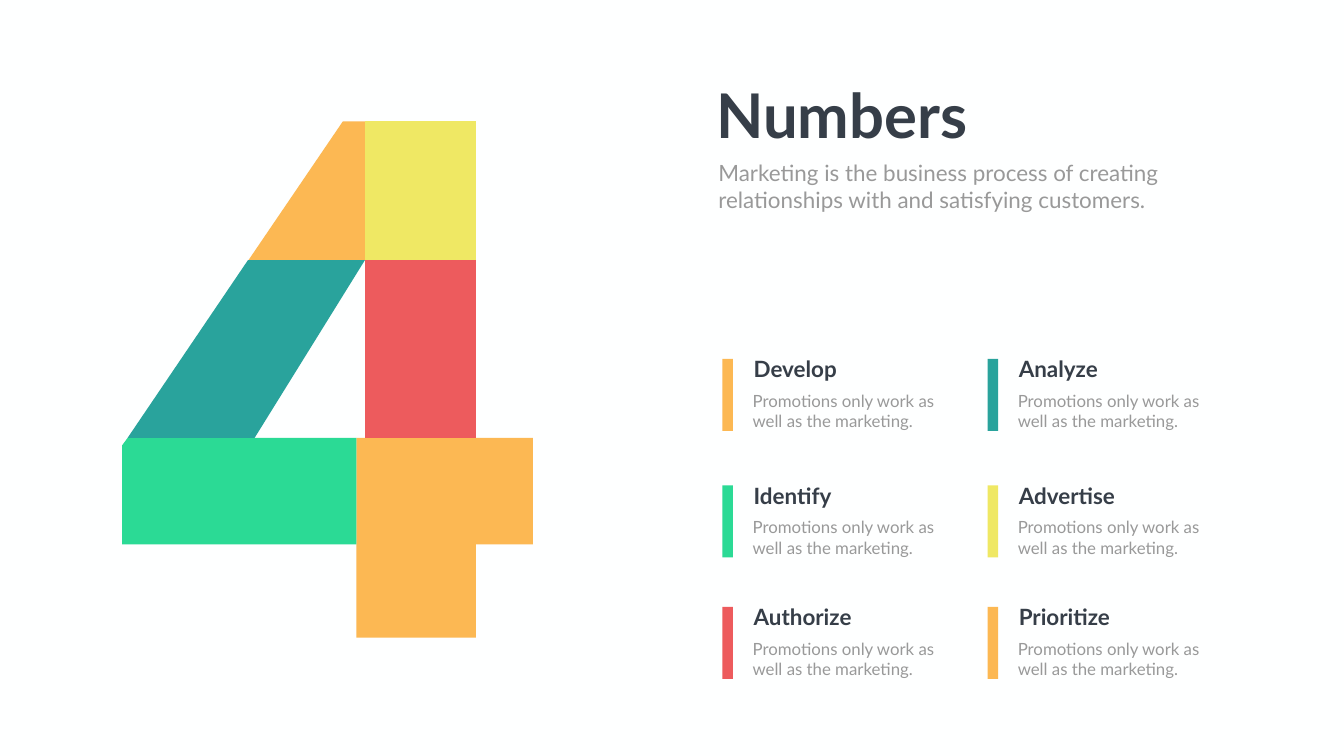
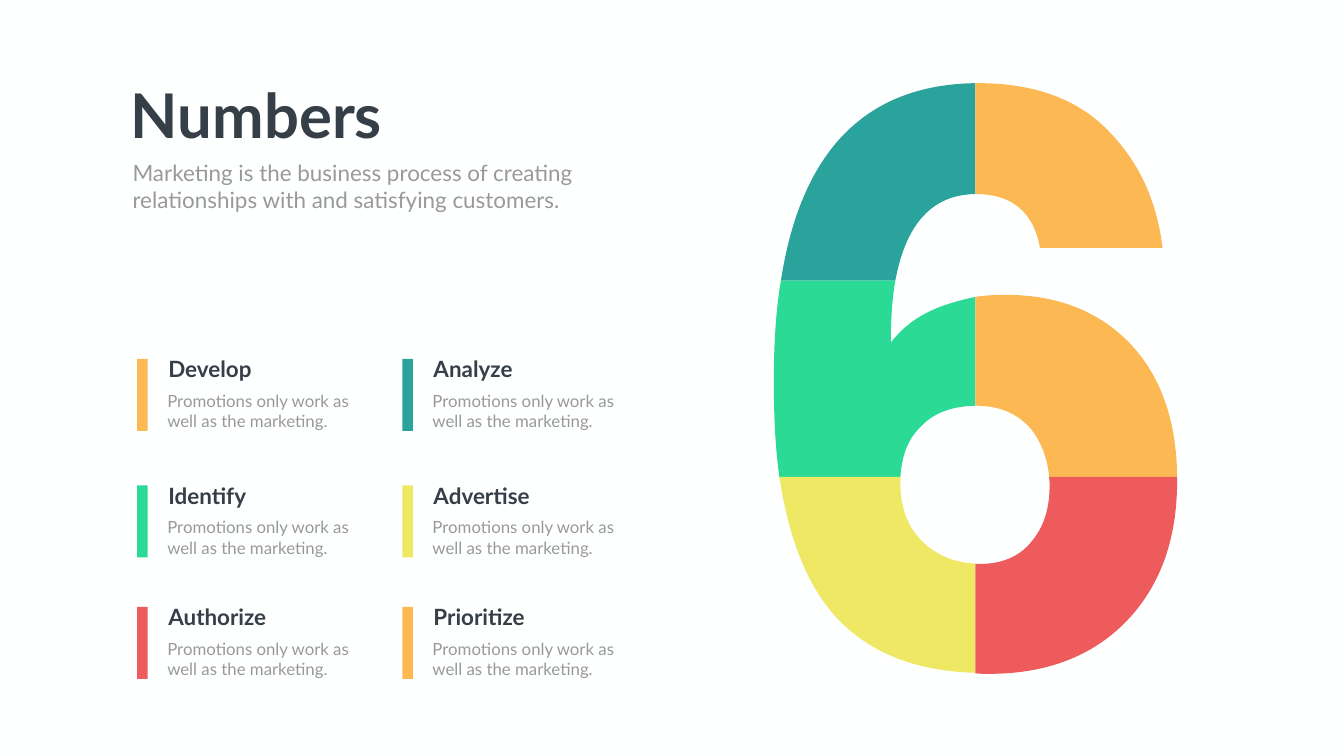
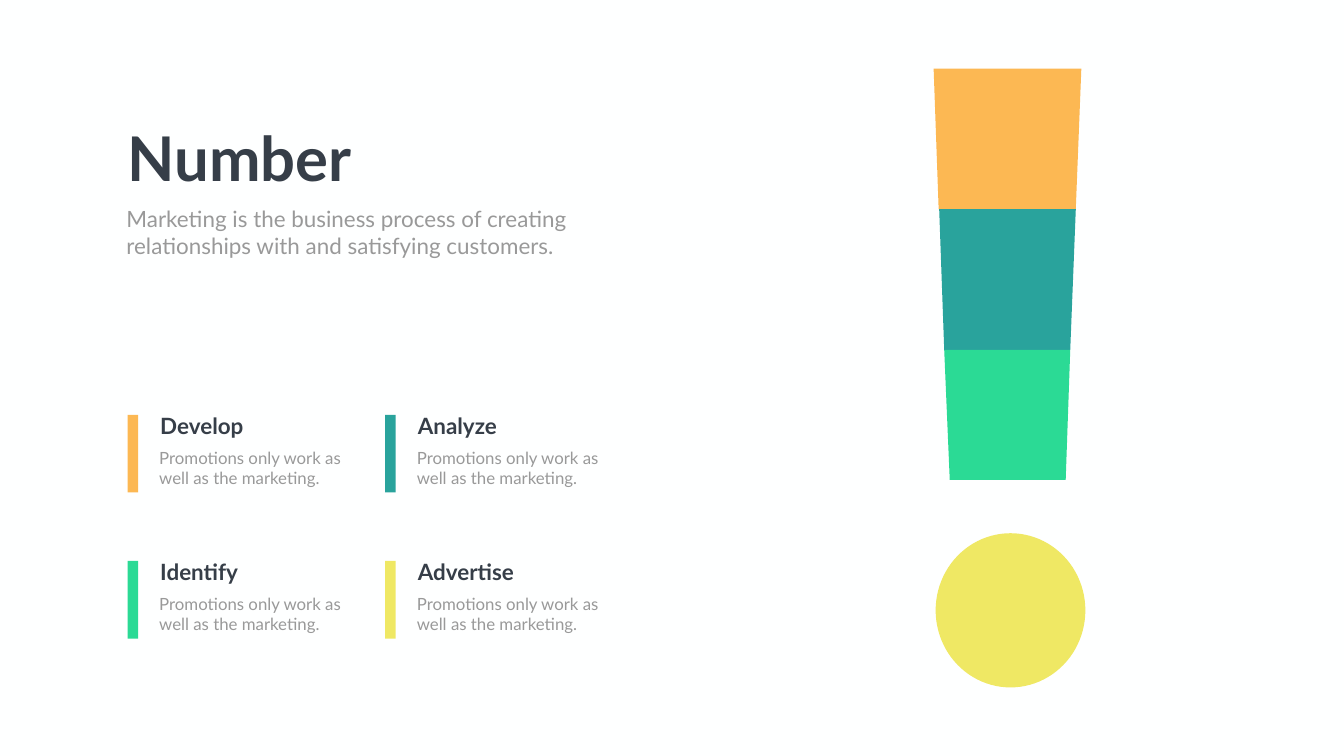
"""Build three number infographic slides: a four, a six and an exclamation mark."""
from dataclasses import dataclass

from lxml import etree
from pptx import Presentation
from pptx.dml.color import RGBColor
from pptx.enum.shapes import MSO_SHAPE
from pptx.enum.text import MSO_AUTO_SIZE
from pptx.oxml.ns import qn
from pptx.util import Inches, Pt

RECTANGLE, OVAL = MSO_SHAPE.RECTANGLE, MSO_SHAPE.OVAL
GROW = MSO_AUTO_SIZE.SHAPE_TO_FIT_TEXT
BLANK_LAYOUT = 6
SLIDE_SIZE = (26.66, 15)
UNITS_PER_INCH = 100


@dataclass(frozen=True)
class Theme:
    """Colours and text styles shared by the slides."""
    font = "Lato"
    background = "FEFFFF"
    orange, teal, green = "FCB853", "29A39C", "2BDA95"
    yellow, red = "EFE864", "ED5B5D"
    title = {"size": 88, "bold": True, "color": "363E48"}
    subtitle = {"size": 32, "bold": False, "color": "999999"}
    heading = {"size": 32, "bold": True, "color": "363E48"}
    body = {"size": 24, "bold": False, "color": "999999"}


SUBTITLE = ["Marketing is the business process of creating",
            "relationships with and satisfying customers."]
STEP_TEXT = "Promotions only work as well as the marketing."
STEPS = [("Develop", Theme.orange), ("Analyze", Theme.teal),
         ("Identify", Theme.green), ("Advertise", Theme.yellow),
         ("Authorize", Theme.red), ("Prioritize", Theme.orange)]

# Each outline is a list of points; six numbers make a Bezier curve.
FOUR = [
    (Theme.orange, [(7.24, 2.41), (6.8, 2.41), (4.93, 5.16), (7.24, 5.16)]),
    (Theme.orange, [(7.07, 8.69), (7.07, 12.65), (9.44, 12.65), (9.44, 10.8),
                    (10.57, 10.8), (10.57, 8.69)]),
    (Theme.green, [(7.07, 8.69), (2.53, 8.69), (2.42, 8.84), (2.42, 10.8),
                   (7.07, 10.8)]),
    (Theme.red, [(7.24, 8.69), (9.44, 8.69), (9.44, 5.16), (7.24, 5.16)]),
    (Theme.teal, [(5.05, 8.69), (7.24, 5.16), (4.92, 5.16), (2.53, 8.69)]),
    (Theme.yellow, [(9.44, 5.16), (9.44, 2.41), (7.24, 2.41), (7.24, 5.16)]),
]
SIX = [
    (Theme.teal, [(15.49, 5.57), (17.76, 5.57),
                  (17.97, 4.43, 18.5, 3.86, 19.35, 3.85), (19.35, 1.65),
                  (17.18, 1.68, 15.89, 2.98, 15.49, 5.57)]),
    (Theme.green, [(17.86, 9.46), (17.89, 9.04, 18.01, 8.71, 18.26, 8.47),
                   (18.52, 8.19, 18.88, 8.06, 19.35, 8.05), (19.35, 5.89),
                   (19.12, 5.94, 18.89, 6, 18.67, 6.08),
                   (18.24, 6.24, 17.91, 6.48, 17.67, 6.8),
                   (17.67, 6.33, 17.7, 5.92, 17.76, 5.57), (15.49, 5.57),
                   (15.39, 6.16, 15.35, 6.83, 15.35, 7.56),
                   (15.35, 8.27, 15.38, 8.89, 15.46, 9.46)]),
    (Theme.yellow, [(18.31, 10.76), (18.01, 10.47, 17.86, 10.08, 17.86, 9.59),
                    (17.86, 9.46), (15.46, 9.46),
                    (15.62, 10.53, 15.92, 11.36, 16.36, 11.97),
                    (17.01, 12.85, 18, 13.31, 19.35, 13.35), (19.35, 11.18),
                    (18.94, 11.17, 18.59, 11.02, 18.31, 10.76)]),
    (Theme.orange, [(19.35, 3.85), (20.07, 3.85, 20.5, 4.2, 20.63, 4.92),
                    (23.06, 4.92), (22.95, 3.98, 22.59, 3.21, 21.98, 2.59),
                    (21.38, 1.97, 20.52, 1.65, 19.4, 1.65), (19.35, 1.65)]),
    (Theme.orange, [(19.35, 8.05), (19.84, 8.05, 20.19, 8.21, 20.45, 8.51),
                    (20.66, 8.78, 20.78, 9.1, 20.81, 9.46), (23.35, 9.46),
                    (23.34, 8.33, 23.02, 7.45, 22.41, 6.81),
                    (21.79, 6.17, 20.97, 5.85, 19.95, 5.85),
                    (19.75, 5.85, 19.55, 5.86, 19.35, 5.89)]),
    (Theme.red, [(23.35, 9.46), (20.81, 9.46),
                 (20.82, 9.52, 20.82, 9.59, 20.82, 9.65),
                 (20.82, 10.1, 20.7, 10.47, 20.45, 10.76),
                 (20.21, 11.05, 19.87, 11.19, 19.42, 11.19), (19.35, 11.19),
                 (19.35, 13.36), (19.43, 13.37, 19.53, 13.37, 19.62, 13.37),
                 (20.76, 13.37, 21.67, 13.02, 22.34, 12.33),
                 (23.01, 11.64, 23.35, 10.71, 23.35, 9.54)]),
]
EXCLAMATION = [
    (Theme.orange, [(21.34, 4.15), (21.45, 1.36), (18.52, 1.36), (18.62, 4.15)]),
    (Theme.teal, [(18.73, 6.94), (21.23, 6.94), (21.34, 4.15), (18.63, 4.15)]),
    (Theme.green, [(18.84, 9.52), (21.14, 9.52), (21.23, 6.94), (18.73, 6.94)]),
]
EXCLAMATION_DOT = (18.56, 10.58, 2.97, 3.06)

SIX_STEPS = {"rows": (7, 9.51, 11.92), "column_step": 5.26, "bar_drop": 0.12,
             "bar_height": 1.43, "text_indent": 0.52}
FOUR_STEPS = {"rows": (8.13, 11.03), "column_step": 5.11, "bar_drop": 0.1,
              "bar_height": 1.54, "text_indent": 0.55}
SLIDES = [
    {"title": "Numbers", "title_box": (14.11, 1.47, 5.28, 1.58), "wrap": False,
     "subtitle_at": (14.15, 3.1), "steps_left": 14.33, "grid": SIX_STEPS,
     "figure": FOUR, "dot": None},
    {"title": "Numbers", "title_box": (2.5, 1.47, 5.28, 1.58), "wrap": False,
     "subtitle_at": (2.53, 3.1), "steps_left": 2.72, "grid": SIX_STEPS,
     "figure": SIX, "dot": None},
    {"title": "Number", "title_box": (2.43, 2.33, 10.73, 1.58), "wrap": True,
     "subtitle_at": (2.41, 4.03), "steps_left": 2.53, "grid": FOUR_STEPS,
     "figure": EXCLAMATION, "dot": EXCLAMATION_DOT},
]


def paint(shape, color):
    """Give a shape a flat fill without line or shadow."""
    shape.shadow.inherit = False
    shape.fill.solid()
    shape.fill.fore_color.rgb = RGBColor.from_string(color)
    shape.line.fill.background()


def add_preset(slide, preset, box, color):
    """Add a flat preset shape."""
    paint(slide.shapes.add_shape(preset, *map(Inches, box)), color)


def add_outline(slide, color, segments):
    """Add a closed outline made of lines and Bezier curves."""
    groups = [[(x * UNITS_PER_INCH, y * UNITS_PER_INCH)
               for x, y in zip(segment[::2], segment[1::2])]
              for segment in segments]
    start, *points = [point for group in groups for point in group]
    builder = slide.shapes.build_freeform(*start, scale=Inches(1) / UNITS_PER_INCH)
    builder.add_line_segments(points, close=True)
    shape = builder.convert_to_shape()
    lines = iter(list(shape.element.iter(qn("a:lnTo"))))
    for group in groups[1:]:
        first, *others = [next(lines) for _ in group]
        if others:
            first_point = first[0]
            curve = etree.Element(qn("a:cubicBezTo"))
            first.getparent().replace(first, curve)
            curve.append(first_point)
            for line in others:
                curve.append(line[0])
                line.getparent().remove(line)
    paint(shape, color)


def add_text(slide, box, lines, style, wrap=True):
    """Add a text box with one paragraph for each line."""
    frame = slide.shapes.add_textbox(*map(Inches, box)).text_frame
    for name, value in {"word_wrap": wrap, "auto_size": GROW}.items():
        setattr(frame, name, value)
    font_values = {"name": Theme.font, "size": Pt(style["size"]), "bold": style["bold"]}
    for index, line in enumerate(lines):
        paragraph = frame.add_paragraph() if index else frame.paragraphs[0]
        run = paragraph.add_run()
        run.text = line
        for name, value in font_values.items():
            setattr(run.font, name, value)
        run.font.color.rgb = RGBColor.from_string(style["color"])


def add_steps(slide, left, grid):
    """Fill the two-column grid with marked steps."""
    for index, (heading, color) in enumerate(STEPS[:2 * len(grid["rows"])]):
        row, column = divmod(index, 2)
        top = grid["rows"][row]
        bar_left = left + column * grid["column_step"]
        text_left = bar_left + grid["text_indent"]
        add_preset(slide, RECTANGLE,
                   (bar_left, top + grid["bar_drop"], 0.21, grid["bar_height"]), color)
        add_text(slide, (text_left, top, 2.61, 0.64), [heading], Theme.heading)
        add_text(slide, (text_left - 0.02, top + 0.7, 4.01, 0.91), [STEP_TEXT], Theme.body)


def add_number_slide(presentation, content):
    """Add one slide with its figure, title and steps."""
    slide = presentation.slides.add_slide(presentation.slide_layouts[BLANK_LAYOUT])
    slide.background.fill.solid()
    slide.background.fill.fore_color.rgb = RGBColor.from_string(Theme.background)
    if content["dot"]:
        add_preset(slide, OVAL, content["dot"], Theme.yellow)
    for color, segments in content["figure"]:
        add_outline(slide, color, segments)
    add_text(slide, content["title_box"], [content["title"]], Theme.title, content["wrap"])
    add_text(slide, (*content["subtitle_at"], 9.08, 1.18), SUBTITLE, Theme.subtitle)
    add_steps(slide, content["steps_left"], content["grid"])


def main():
    """Build and save the presentation."""
    presentation = Presentation()
    presentation.slide_width, presentation.slide_height = map(Inches, SLIDE_SIZE)
    for content in SLIDES:
        add_number_slide(presentation, content)
    presentation.save("out.pptx")


if __name__ == "__main__":
    main()
